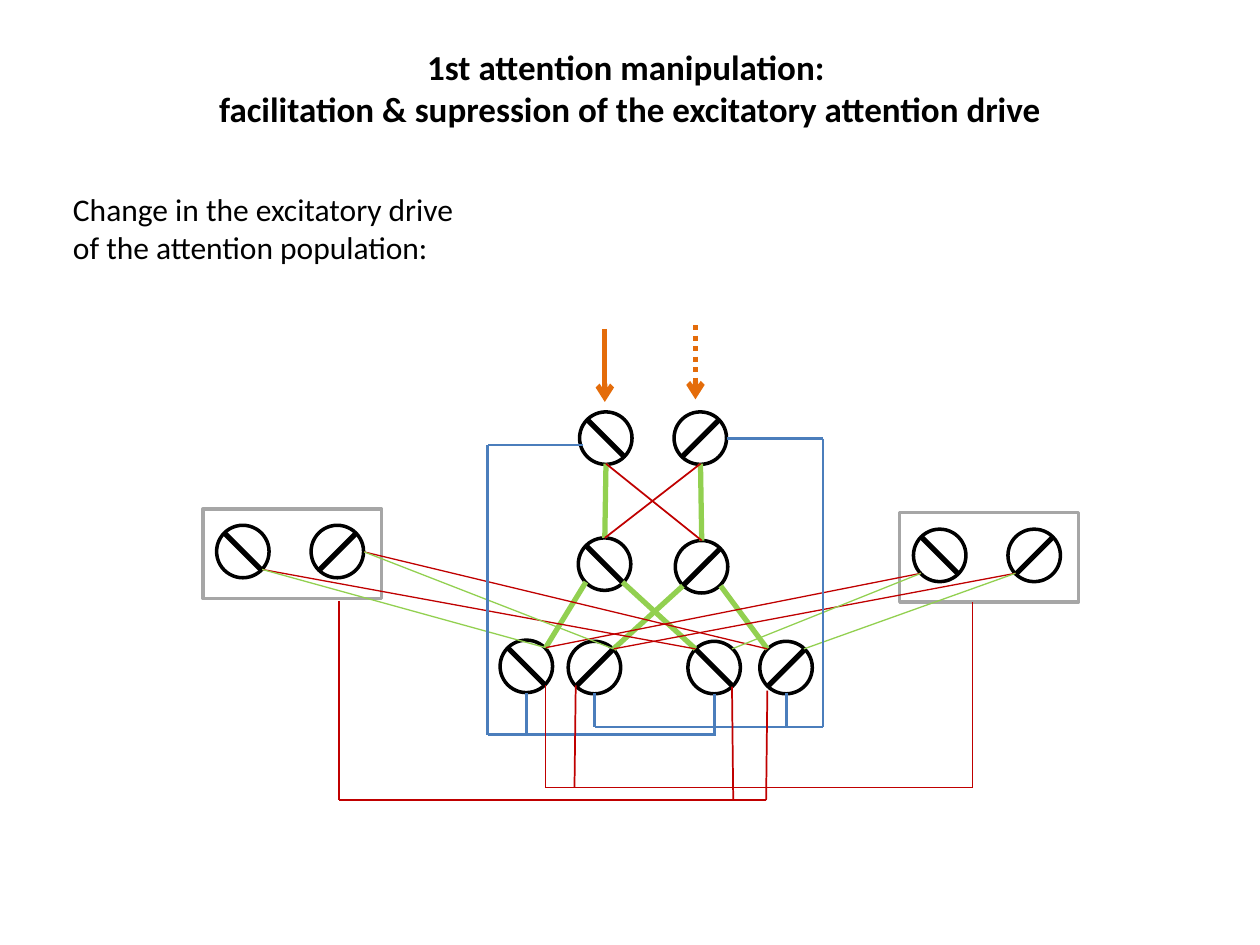
"""Build the attention-manipulation network slide."""
from lxml import etree
from pptx import Presentation
from pptx import util as u
from pptx.dml.color import RGBColor
from pptx.enum import dml, shapes, text
from pptx.oxml.ns import qn

BLACK, GREEN, RED, BLUE = "000000", "92D050", "C00000", "4B7EBC"
GREY, ORANGE, WHITE = "A6A6A6", "E46C0A", "FFFFFF"
CELL = 30


def rgb(value):
    return RGBColor.from_string(value)


class Deck:
    def __init__(self, width, height, font):
        self.prs = Presentation()
        self.prs.slide_width, self.prs.slide_height = u.Pt(width), u.Pt(height)
        self.font = font
        self.s = self.prs.slides.add_slide(self.prs.slide_layouts[6])

    def text(self, box, lines, size, bold=False, align=text.PP_ALIGN.LEFT,
             anchor=text.MSO_ANCHOR.TOP, wrap=True):
        tf = self.s.shapes.add_textbox(*map(u.Pt, box)).text_frame
        tf.word_wrap = wrap
        tf.vertical_anchor = anchor
        if not wrap:
            tf.auto_size = text.MSO_AUTO_SIZE.SHAPE_TO_FIT_TEXT
        for i, line in enumerate(lines):
            p = tf.add_paragraph() if i else tf.paragraphs[0]
            p.alignment = align
            r = p.add_run()
            r.text = line
            r.font.name, r.font.size, r.font.bold = self.font, u.Pt(size), bold
            r.font.color.rgb = rgb(BLACK)

    def shape(self, kind, box, color, fill=None):
        sp = self.s.shapes.add_shape(kind, *map(u.Pt, box))
        sp.shadow.inherit = False
        if fill:
            sp.fill.solid()
            sp.fill.fore_color.rgb = rgb(fill)
        else:
            sp.fill.background()
        sp.line.color.rgb = rgb(color)
        sp.line.width = u.Pt(2)

    def line(self, start, end, color, width, arrow=False, dash=None):
        c = self.s.shapes.add_connector(
            shapes.MSO_CONNECTOR.STRAIGHT, *map(u.Pt, (*start, *end)))
        c.line.color.rgb = rgb(color)
        c.line.width = u.Pt(width)
        if dash:
            c.line.dash_style = dash
        if arrow:
            etree.SubElement(c.line._get_or_add_ln(), qn("a:tailEnd"), type="arrow")
        etree.SubElement(c._element.spPr, qn("a:effectLst"))

    def wire(self, color, width, *points):
        for start, end in zip(points, points[1:]):
            self.line(start, end, color, width)

    def neuron(self, x, y, rising):
        self.shape(shapes.MSO_SHAPE.OVAL, (x, y, CELL, CELL), BLACK, WHITE)
        near, far = 4.3, 25.9
        x1, x2 = (far, near) if rising else (near, far)
        self.line((x + x1, y + near), (x + x2, y + far), BLACK, 3)


def main():
    d = Deck(720, 540, "Calibri")
    d.text((36, 21.6, 648, 56.2),
           ["1st attention manipulation: ",
            "facilitation & supression of the excitatory attention drive"],
           20, True, text.PP_ALIGN.CENTER, text.MSO_ANCHOR.MIDDLE)
    d.text((34.6, 105.1, 239, 51.1),
           ["Change in the excitatory drive", "of the attention population:"],
           18, wrap=False)

    pairs = [((331.2, 235.4), (385.2, 235.4)),
             ((330.5, 307.4), (385.9, 308.9)),
             ((285.8, 365.8), (324.7, 366.5)),
             ((393.1, 366.5), (434.2, 366.5)),
             ((123.8, 300.2), (177.8, 300.2)),
             ((522, 302.4), (576, 302.4))]
    for falling, rising in pairs:
        d.neuron(*falling, False)
        d.neuron(*rising, True)
    for x, y in ((115.9, 290.9), (514.1, 293)):
        d.shape(shapes.MSO_SHAPE.RECTANGLE, (x, y, 102.2, 51.1), GREY)

    top_l, top_r = (346.3, 265), (400.3, 265)
    mid_l, mid_r = (345.6, 307.4), (401, 308.9)
    in_1, in_2, in_3, in_4 = (311.8, 370.1), (350.6, 370.8), (397.4, 370.8), (438.5, 370.8)
    out_3, out_4 = (418.3, 370.8), (459.4, 370.8)
    left_1, left_2 = (149.8, 325.4), (208.1, 315.4)
    right_1, right_2 = (526.3, 327.6), (580.3, 327.6)
    links = [
        (GREEN, 3, [(in_1, (334.8, 332.6)), (in_2, (390.2, 334.8)),
                    ((355.7, 332.6), in_3), (in_4, (411.8, 334.8)),
                    (mid_l, top_l), (mid_r, top_r)]),
        (RED, 1, [(mid_r, top_l), (top_r, mid_l)]),
        (RED, 0.75, [(in_2, right_2), (in_1, right_1), (left_2, in_4), (left_1, in_3)]),
        (GREEN, 0.75, [(out_3, right_1), (out_4, right_2), (left_1, in_1), (left_2, in_2)]),
    ]
    for color, width, ends in links:
        for start, end in ends:
            d.line(start, end, color, width)

    loops = [
        (BLUE, 1.5, [
            [(415.4, 250.6), (470.2, 250.6), (470.2, 415.4), (449.3, 415.4),
             (339.8, 415.4), (339.8, 396)],
            [(449.3, 415.4), (449.3, 396)],
            [(333.4, 254.2), (278.6, 254.2), (278.6, 419.8), (301, 419.8), (409, 419.8)],
            [(301, 419.8), (301, 396)],
            [(408.2, 396.7), (408.2, 419.8)]]),
        (RED, 1, [
            [(555.8, 344.2), (555.8, 450), (311.8, 450), (311.8, 391.7)],
            [(329, 391.7), (328.3, 450)],
            [(193.7, 343.4), (193.7, 457.2), (437.8, 457.2), (438.5, 394.6)],
            [(418.3, 392.4), (419, 457.2)]]),
    ]
    for color, width, routes in loops:
        for route in routes:
            d.wire(color, width, *route)

    d.line((345.6, 187.9), (345.6, 229.7), ORANGE, 3, arrow=True)
    d.line((397.4, 185.8), (397.4, 228.2), ORANGE, 3, arrow=True,
           dash=dml.MSO_LINE.ROUND_DOT)
    d.prs.save("out.pptx")


if __name__ == "__main__":
    main()
